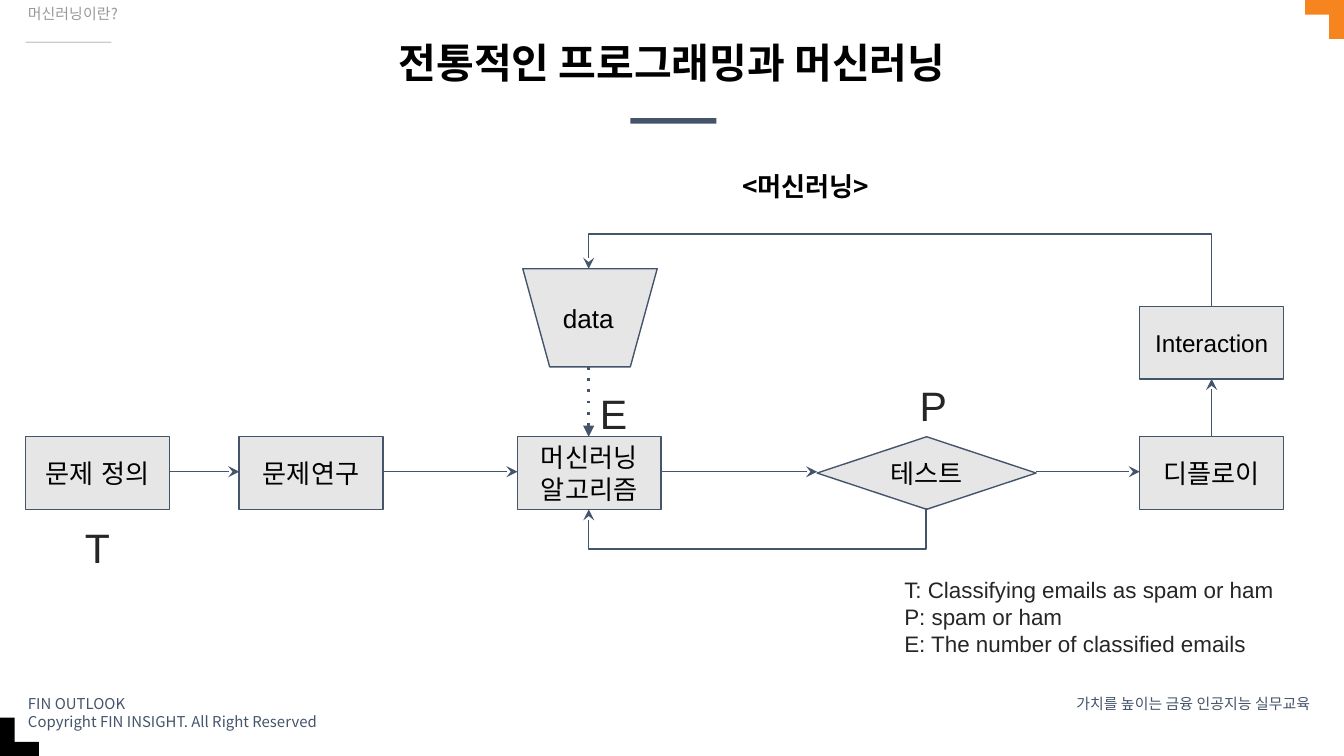
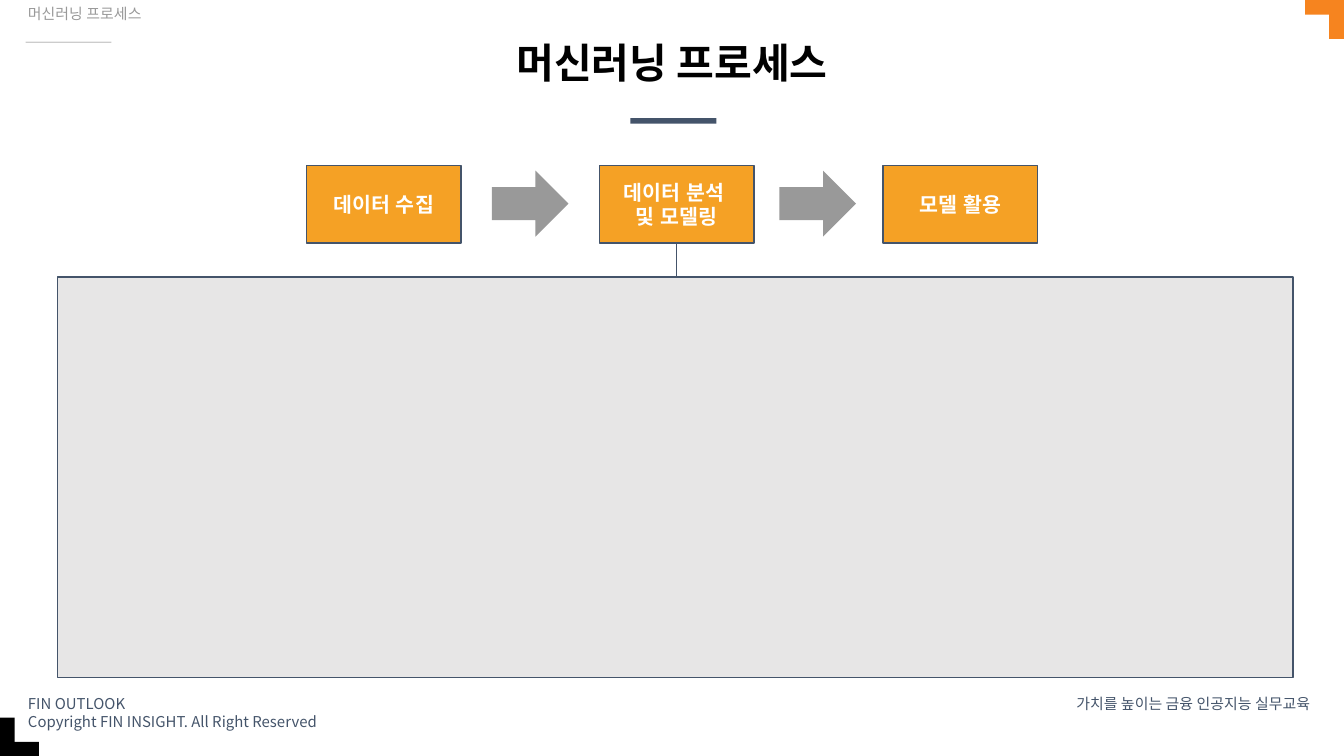
from lxml.etree import SubElement
from pptx import Presentation
from pptx.dml.color import RGBColor
from pptx.enum.shapes import MSO_CONNECTOR, MSO_SHAPE
from pptx.enum.text import MSO_ANCHOR, PP_ALIGN
from pptx.oxml.ns import qn
from pptx.util import Inches, Pt

WIDE = 10
HIGH = WIDE * 9 / 16
NAVY, BLACK, WHITE = "44546A", "000000", "FFFFFF"
PALE, GRAY, RULE, DARK = "E7E6E6", "999999", "CCCCCC", "262626"
ORANGE, AMBER = "F6841F", "F5A125"
SANS, NOTO = "Arial", "Noto Sans CJK KR"
LEFT, MID, RIGHT = PP_ALIGN.LEFT, PP_ALIGN.CENTER, PP_ALIGN.RIGHT


def color(code):
    return RGBColor.from_string(code)


def write(shape, text, size, tint, face=SANS, bold=False, align=MID, pad=(0.1, 0.1), space=None):
    frame = shape.text_frame
    frame.word_wrap = True
    frame.margin_left = frame.margin_right = Inches(pad[0])
    frame.margin_top = frame.margin_bottom = Inches(pad[1])
    frame.text = text
    for para in frame.paragraphs:
        para.alignment = align
        if space:
            para.line_spacing = space
        for run in para.runs:
            font = run.font
            font.name, font.size, font.bold = face, Pt(size), bold
            font.color.rgb = color(tint)
            SubElement(run._r.get_or_add_rPr(), qn("a:ea")).set("typeface", face)


def label(slide, box, text, size, tint, **style):
    shape = slide.shapes.add_textbox(*map(Inches, box))
    shape.text_frame.vertical_anchor = MSO_ANCHOR.TOP
    write(shape, text, size, tint, **style)


def block(slide, box, fill, edge=None, kind=MSO_SHAPE.RECTANGLE):
    shape = slide.shapes.add_shape(kind, *map(Inches, box))
    shape.shadow.inherit = False
    shape.fill.solid()
    shape.fill.fore_color.rgb = color(fill)
    if edge:
        shape.line.color.rgb = color(edge)
        shape.line.width = Pt(0.75)
    else:
        shape.line.fill.background()
    shape.text_frame.vertical_anchor = MSO_ANCHOR.MIDDLE
    return shape


def link(slide, start, end, head="stealth", kind=MSO_CONNECTOR.STRAIGHT, width=0.75, dash=None):
    wire = slide.shapes.add_connector(kind, *map(Inches, start + end))
    wire.line.color.rgb = color(NAVY)
    wire.line.width = Pt(width)
    edge = wire.line._get_or_add_ln()
    if dash:
        SubElement(edge, qn("a:prstDash")).set("val", dash)
    if head:
        SubElement(edge, qn("a:tailEnd")).set("type", head)
    SubElement(wire._element.spPr, qn("a:effectLst"))
    return wire


def loop(slide, start, end, via):
    (x1, y1), (x2, y2) = start, end
    sign = 1 if x1 > x2 and via > y1 else -1
    mid_x, mid_y = (x1 + x2) / 2, (y1 + y2) / 2

    def turn(x, y):
        return mid_x + sign * (y - mid_y), mid_y - sign * (x - mid_x)

    wire = link(slide, turn(*start), turn(*end), kind=MSO_CONNECTOR.ELBOW)
    props = wire._element.spPr
    props.find(qn("a:xfrm")).set("rot", str((90 if sign > 0 else 270) * 60000))
    geom = props.find(qn("a:prstGeom"))
    guides = geom.find(qn("a:avLst"))
    if guides is None:
        guides = SubElement(geom, qn("a:avLst"))
    guide = SubElement(guides, qn("a:gd"))
    guide.set("name", "adj1")
    guide.set("fmla", f"val {round((via - y1) / (y2 - y1) * 100000)}")


def corner(slide, box, fill, low):
    left, top, side, thick = box
    flat = top + side - thick if low else top
    edge = left if low else left + side - thick
    block(slide, (left, flat, side, thick), fill)
    block(slide, (edge, top, thick, side), fill)


def base(deck, topic, title):
    slide = deck.slides.add_slide(deck.slide_layouts[6])
    block(slide, (4.69, 0.88, 0.64, 0.04), NAVY)
    foot = dict(face=NOTO, pad=(0.1, 0.05))
    label(slide, (0.11, 5.12, 2.98, 0.27),
          "FIN OUTLOOK\nCopyright FIN INSIGHT. All Right Reserved", 8, NAVY, align=LEFT, **foot)
    label(slide, (7.76, 5.12, 2.09, 0.17), "가치를 높이는 금융 인공지능 실무교육", 8, NAVY, align=RIGHT, **foot)
    block(slide, (0.19, 0.31, 0.64, 0.01), RULE)
    corner(slide, (0, 5.34, 0.29, 0.11), BLACK, True)
    corner(slide, (9.71, 0, 0.29, 0.11), ORANGE, False)
    label(slide, (1.09, 0.3, 7.82, 0.4), title, 22, BLACK, face=NOTO, bold=True, pad=(0.04, 0.02), space=0.9)
    label(slide, (0.11, 0, 2.84, 0.4), topic, 8, GRAY, align=LEFT, space=0.9, **foot)
    return slide


def flow(slide, box):
    left, top, width, height = box
    step, tall = 1.07, 0.54
    row = top + 1.51
    axis, floor = row + 0.26, row + tall
    data, last = left + 4.19, left + width - step / 2
    nodes = [
        ("문제 정의", 0, step, MSO_SHAPE.RECTANGLE),
        ("문제연구", 1.59, step, MSO_SHAPE.RECTANGLE),
        ("머신러닝 알고리즘", 3.66, step, MSO_SHAPE.RECTANGLE),
        ("테스트", 5.89, 1.63, MSO_SHAPE.DIAMOND),
        ("디플로이", width - step, step, MSO_SHAPE.RECTANGLE),
    ]
    for text, shift, wide, kind in nodes:
        node = block(slide, (left + shift, row, wide, tall), PALE, NAVY, kind)
        write(node, text, 14, BLACK)
    for (_, shift, wide, _), after in zip(nodes, nodes[1:]):
        link(slide, (left + shift + wide, axis), (left + after[1], axis))

    funnel = block(slide, (data - 0.49, top + 0.26, 1, 0.73), PALE, NAVY, MSO_SHAPE.FLOWCHART_MANUAL_OPERATION)
    write(funnel, "data", 14, BLACK, align=LEFT)
    link(slide, (data, top + 0.99), (data, row), "triangle", width=1.5, dash="dot")
    react = block(slide, (left + width - step, top + 0.54, step, tall), PALE, NAVY)
    write(react, "Interaction", 13, BLACK)
    link(slide, (last, row), (last, top + 0.54 + tall))
    loop(slide, (last, top + 0.54), (data, top + 0.26), top)
    loop(slide, (left + 6.7, floor - 0.01), (data, floor), top + height)

    for text, shift, drop in (("T", 0, 2.05), ("P", 6.22, 0.99), ("E", 3.84, 1.05)):
        label(slide, (left + shift, top + drop, step, 0.4), text, 22, DARK)


def stages(slide, box):
    left, top, width, height = box
    wide = 1.15
    names = ("데이터 수집", "데이터 분석 \n및 모델링", "모델 활용")
    for name, shift in zip(names, (0, 2.18, width - wide)):
        stage = block(slide, (left + shift, top, wide, height), AMBER, NAVY)
        write(stage, name, 11, WHITE, bold=True)
    for shift in (1.38, 3.52):
        block(slide, (left + shift, top + 0.04, 0.57, 0.49), GRAY, kind=MSO_SHAPE.RIGHT_ARROW)
    stem = left + 2.18 + wide / 2
    link(slide, (stem, top + height), (stem, top + height + 0.4), None)


def main():
    deck = Presentation()
    deck.slide_width, deck.slide_height = Inches(WIDE), Inches(HIGH)

    slide = base(deck, "머신러닝이란?", "전통적인 프로그래밍과 머신러닝")
    label(slide, (4.77, 1.17, 2.45, 0.4), "<머신러닝>", 14, BLACK, face=NOTO, bold=True)
    flow(slide, (0.19, 1.74, 9.36, 2.35))
    label(slide, (6.63, 4.19, 3.28, 0.89),
          "T: Classifying emails as spam or ham\nP: spam or ham\nE: The number of classified emails",
          12, DARK, align=LEFT)

    slide = base(deck, "머신러닝 프로세스", "머신러닝 프로세스")
    stages(slide, (2.28, 1.23, 5.44, 0.58))
    block(slide, (0.43, 2.06, 9.19, 2.98), PALE, NAVY)

    deck.save("out.pptx")


if __name__ == "__main__":
    main()
